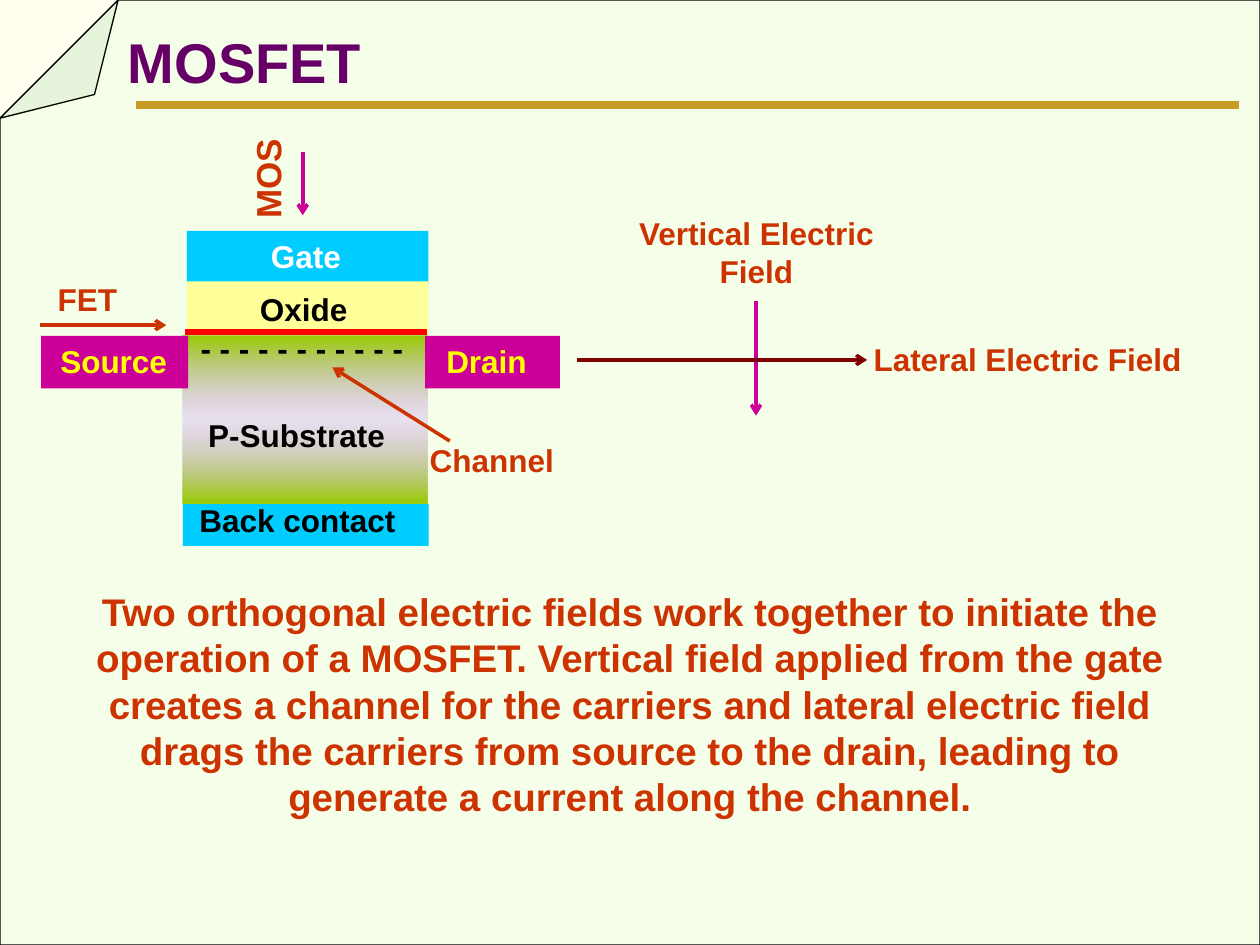
from dataclasses import dataclass

from lxml import etree
from pptx import Presentation
from pptx.dml.color import RGBColor
from pptx.enum.shapes import MSO_CONNECTOR, MSO_SHAPE
from pptx.enum.text import PP_ALIGN
from pptx.oxml import parse_xml
from pptx.oxml.ns import nsdecls, qn
from pptx.util import Pt


@dataclass(frozen=True)
class Theme:
    font: str = "Arial"
    paper: str = "FFFEEF"
    tint: str = "CCFFCC"
    bar: str = "C88500"
    title: str = "660066"
    accent: str = "CC3300"
    metal: str = "00CCFF"
    oxide: str = "FFFF99"
    substrate: str = "99CC00"
    substrate_mid: str = "CC99FF"
    magenta: str = "CC0099"
    lateral: str = "800000"
    interface: str = "FF0000"
    yellow: str = "FFFF00"
    black: str = "000000"
    white: str = "FFFFFF"
    title_size: int = 32
    body_size: int = 22
    mos_size: int = 20
    label_size: int = 18


T = Theme()


def rgb(color):
    return RGBColor.from_string(color)


def add_box(s, box, fill, kind=MSO_SHAPE.RECTANGLE):
    sp = s.shapes.add_shape(kind, *map(Pt, box))
    sp.shadow.inherit = False
    sp.fill.solid()
    sp.fill.fore_color.rgb = rgb(fill)
    sp.line.fill.background()
    return sp


def add_text(s, box, text, color, size=T.label_size, align=PP_ALIGN.CENTER):
    sp = s.shapes.add_textbox(*map(Pt, box))
    tf = sp.text_frame
    tf.word_wrap = True
    p = tf.paragraphs[0]
    p.text = text
    p.alignment = align
    p.font.name = T.font
    p.font.size = Pt(size)
    p.font.bold = True
    p.font.color.rgb = rgb(color)
    return sp


def add_line(s, ends, color, width=2, arrow=False):
    cx = s.shapes.add_connector(MSO_CONNECTOR.STRAIGHT, *map(Pt, ends))
    cx.line.color.rgb = rgb(color)
    cx.line.width = Pt(width)
    if arrow:
        ln = cx._element.spPr.find(qn("a:ln"))
        etree.SubElement(ln, qn("a:tailEnd"), type="arrow")
    etree.SubElement(cx._element.spPr, qn("a:effectLst"))


def set_substrate_gradient(sp):
    """Vertical green gradient with a translucent violet middle."""
    old = sp._element.spPr.find(qn("a:solidFill"))
    old.getparent().replace(old, parse_xml(
        f'<a:gradFill {nsdecls("a")} rotWithShape="1"><a:gsLst>'
        f'<a:gs pos="0"><a:srgbClr val="{T.substrate}"/></a:gs>'
        f'<a:gs pos="50000"><a:srgbClr val="{T.substrate_mid}">'
        '<a:alpha val="29000"/></a:srgbClr></a:gs>'
        f'<a:gs pos="100000"><a:srgbClr val="{T.substrate}"/></a:gs>'
        '</a:gsLst><a:lin ang="5400000" scaled="1"/></a:gradFill>'))


def add_page(s):
    """Tinted sheet whose folded corner shows at the top left, with the title."""
    s.background.fill.solid()
    s.background.fill.fore_color.rgb = rgb(T.paper)
    add_line(s, (78, 60, 708, 60), T.bar, 4.5)
    sheet = add_box(s, (0, 0, 720, 540), T.tint, MSO_SHAPE.FOLDED_CORNER)
    sheet.rotation = 180
    guides = next(sheet._element.spPr.iter(qn("a:avLst")))
    etree.SubElement(guides, qn("a:gd"), name="adj", fmla="val 12500")
    color = next(sheet._element.spPr.iter(qn("a:srgbClr")))
    etree.SubElement(color, qn("a:alpha"), val="18000")
    sheet.line.color.rgb = rgb(T.black)
    sheet.line.width = Pt(0.75)
    add_text(s, (66, 12, 642, 46), "MOSFET", T.title, T.title_size, PP_ALIGN.LEFT)


def add_fields(s):
    add_line(s, (432, 172, 432, 237.5), T.magenta, arrow=True)
    add_line(s, (330, 205.7, 495.5, 205.7), T.lateral, arrow=True)
    add_text(s, (357.8, 118.8, 149, 51), "Vertical Electric Field", T.accent)
    add_text(s, (488.2, 190.8, 198, 29), "Lateral Electric Field", T.accent)


def add_transistor(s):
    add_box(s, (106.8, 132, 138, 30), T.metal)
    add_box(s, (106.8, 160.8, 138, 30), T.oxide)
    set_substrate_gradient(add_box(s, (104.5, 192, 139.8, 96), T.substrate))
    add_box(s, (104.5, 288, 140.4, 24), T.metal)
    for box, text, color in (
        ((106.5, 234, 126, 29), "P-Substrate", T.black),
        ((99.8, 283, 140.4, 29), "Back contact", T.black),
        ((134.6, 162, 78, 29), "Oxide", T.black),
        ((135.8, 132, 78, 29), "Gate", T.white),
    ):
        add_text(s, box, text, color)
    add_text(s, (107.5, 184.5, 132, 29), "- - - - - - - - - - -", T.black,
             align=PP_ALIGN.LEFT)
    add_line(s, (105.8, 189.8, 244, 189.8), T.interface, 3)

    add_box(s, (23.5, 192, 84, 30), T.magenta)
    add_box(s, (243, 192, 77, 30), T.magenta)
    add_text(s, (23, 192, 84, 29), "Source", T.yellow)
    add_text(s, (236, 192, 84, 29), "Drain", T.yellow)


def add_callouts(s):
    add_text(s, (236, 248.4, 90, 29), "Channel", T.accent)
    add_line(s, (257, 252, 190, 210), T.accent, arrow=True)
    add_text(s, (121, 86.4, 64, 31.5), "MOS", T.accent, T.mos_size).rotation = 270
    add_line(s, (173, 87, 173, 123), T.magenta, arrow=True)
    add_line(s, (23, 185.8, 95, 185.8), T.accent, arrow=True)
    add_text(s, (23, 156.2, 54, 29), "FET", T.accent)


def main():
    prs = Presentation()
    prs.slide_width, prs.slide_height = Pt(720), Pt(540)
    s = prs.slides.add_slide(prs.slide_layouts[6])
    add_page(s)
    add_fields(s)
    add_transistor(s)
    add_callouts(s)
    add_text(s, (36, 332.6, 648, 140.4),
             "Two orthogonal electric fields work together to initiate the "
             "operation of a MOSFET. Vertical field applied from the gate "
             "creates a channel for the carriers and lateral electric field "
             "drags the carriers from source to the drain, leading to "
             "generate a current along the channel.", T.accent, T.body_size)
    prs.save("out.pptx")


if __name__ == "__main__":
    main()
